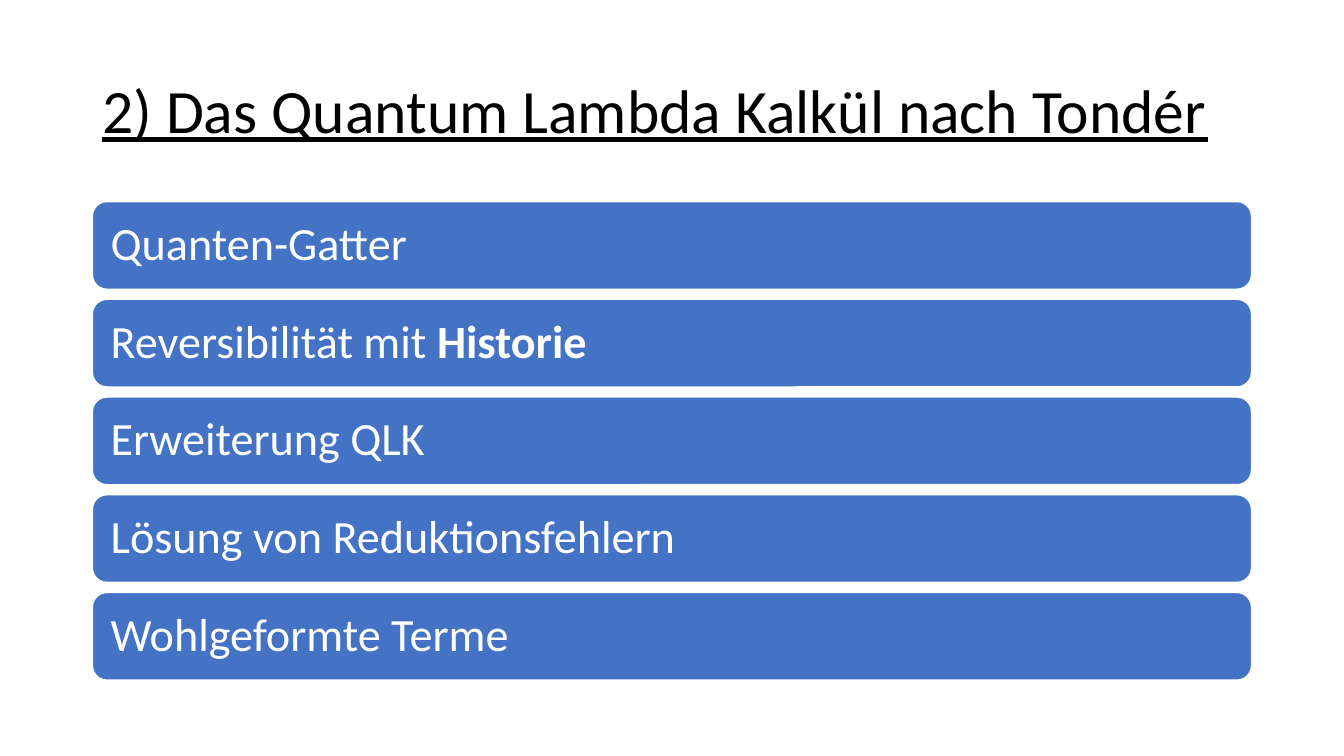
from pptx import Presentation
from pptx.dml.color import RGBColor
from pptx.enum.shapes import MSO_SHAPE
from pptx.enum.text import MSO_ANCHOR, PP_ALIGN
from pptx.util import Pt

COLORS = {"title": "000000", "bar": "4472C4", "light": "FFFFFF"}
FONT = "Calibri"
LEFT, WIDTH = 66, 828
BAR_TOP, BAR_HEIGHT, BAR_PITCH = 144, 62.64, 69.8

# Each topic is a list of (text, bold) pieces.
TOPICS = [
    [("Quanten-Gatter", False)],
    [("Reversibilität mit ", False), ("Historie", True)],
    [("Erweiterung QLK", False)],
    [("Lösung von Reduktionsfehlern", False)],
    [("Wohlgeformte Terme", False)],
]


def rgb(name):
    return RGBColor.from_string(COLORS[name])


def write_line(frame, pieces, size, color):
    """Fill the frame with one left-aligned, vertically centred paragraph."""
    frame.word_wrap = True
    frame.vertical_anchor = MSO_ANCHOR.MIDDLE
    line = frame.paragraphs[0]
    line.alignment = PP_ALIGN.LEFT
    line.line_spacing = 0.9
    for text, bold in pieces:
        run = line.add_run()
        run.text = text
        run.font.name = FONT
        run.font.size = Pt(size)
        run.font.bold = bold
        run.font.color.rgb = rgb(color)
    return line


def add_title(slide, text):
    title = slide.shapes.add_textbox(Pt(LEFT), Pt(28.75), Pt(WIDTH), Pt(104.4))
    line = write_line(title.text_frame, [(text, False)], 44, "title")
    line.runs[0].font.underline = True


def add_topic_bar(slide, top, pieces):
    bar = slide.shapes.add_shape(
        MSO_SHAPE.ROUNDED_RECTANGLE, Pt(LEFT), Pt(top), Pt(WIDTH), Pt(BAR_HEIGHT)
    )
    bar.shadow.inherit = False
    bar.fill.solid()
    bar.fill.fore_color.rgb = rgb("bar")
    bar.line.color.rgb = rgb("light")
    bar.line.width = Pt(1)
    frame = bar.text_frame
    frame.margin_left = frame.margin_right = Pt(10)
    frame.margin_top = frame.margin_bottom = Pt(8)
    write_line(frame, pieces, 33, "light")


def main():
    deck = Presentation()
    deck.slide_width, deck.slide_height = Pt(960), Pt(540)
    slide = deck.slides.add_slide(deck.slide_layouts[6])
    add_title(slide, "2) Das Quantum Lambda Kalkül nach Tondér")
    for row, pieces in enumerate(TOPICS):
        add_topic_bar(slide, BAR_TOP + row * BAR_PITCH, pieces)
    deck.save("out.pptx")


if __name__ == "__main__":
    main()
